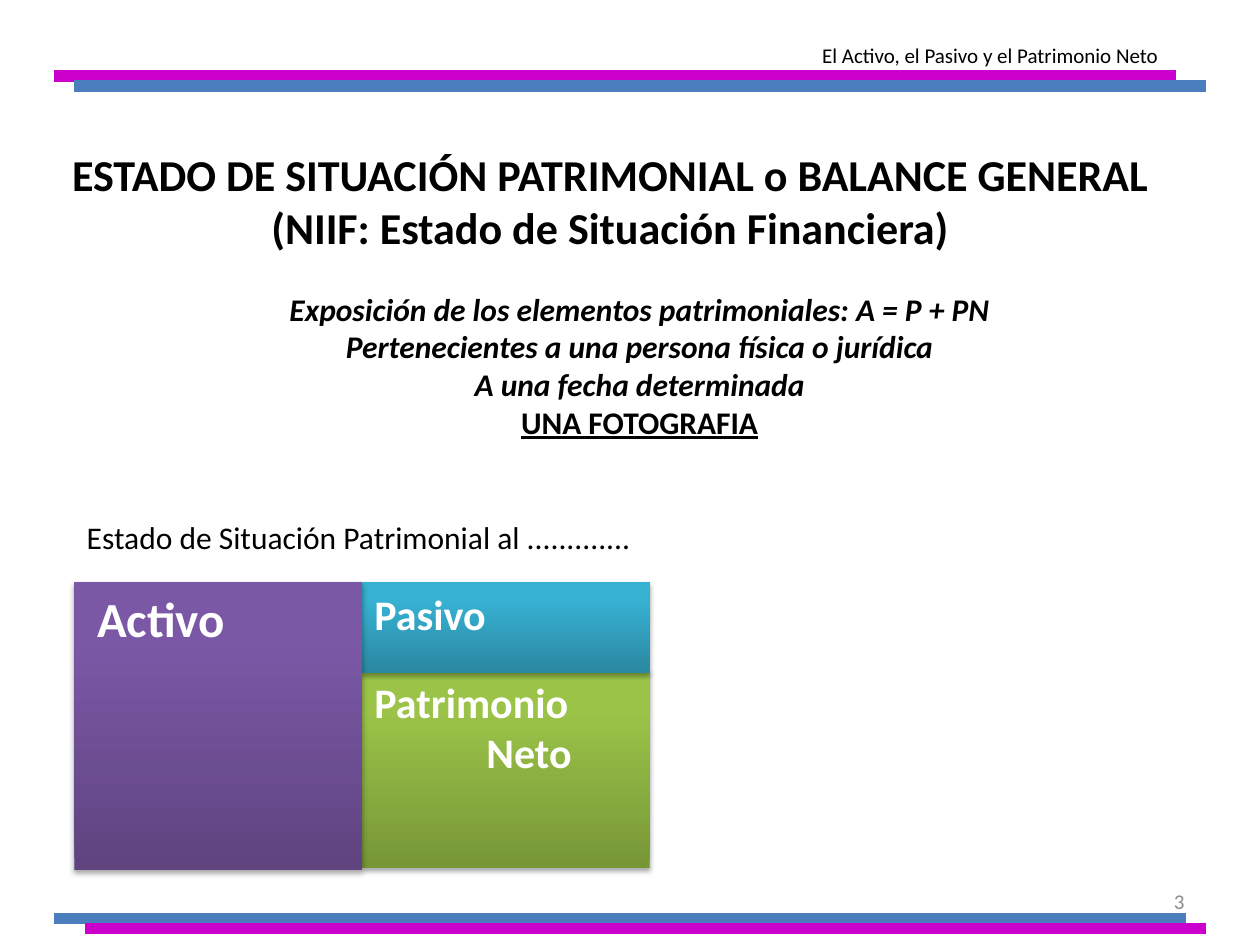
"""Build the balance sheet slide, with header, title, key points and block diagram."""
from lxml import etree
from pptx import Presentation
from pptx.dml.color import RGBColor
from pptx.enum.shapes import MSO_CONNECTOR, MSO_SHAPE
from pptx.enum.text import MSO_ANCHOR, PP_ALIGN
from pptx.oxml import parse_xml
from pptx.oxml.ns import nsdecls, qn
from pptx.util import Pt

LEFT, MID, RIGHT = PP_ALIGN.LEFT, PP_ALIGN.CENTER, PP_ALIGN.RIGHT
TOP, CENTRE = MSO_ANCHOR.TOP, MSO_ANCHOR.MIDDLE
LINE, RECT = MSO_CONNECTOR.STRAIGHT, MSO_SHAPE.RECTANGLE

HUES = {
    "pink": "CC00CC", "blue": "4B7EBC", "black": "000000",
    "white": "FFFFFF", "grey": "8C8C8C",
    "green": ("779737", "9BC348"),
    "teal": ("2A88A2", "37B1D2"),
    "purple": ("5F4480", "7B58A6"),
}
SHADOW = (
    f'<a:effectLst {nsdecls("a")}><a:outerShdw blurRad="39370" dist="22860" '
    'dir="5400000" rotWithShape="0"><a:srgbClr val="000000">'
    '<a:alpha val="35000"/></a:srgbClr></a:outerShdw></a:effectLst>'
)
HANG = 64

BARS = [
    (31, 672, 43.2, "pink"),
    (42.5, 689, 49, "blue"),
    (31, 677.5, 524.9, "blue"),
    (48.5, 689, 530.6, "pink"),
]
BOLD = {"bold": True}
SLANT = {"bold": True, "italic": True}
TEXTS = [
    ((516, 500.4, 168, 28.8), [("3", {})],
     {"size": 12, "hue": "grey", "align": RIGHT, "anchor": CENTRE}),
    ((20, 66, 657.5, 125),
     [("ESTADO DE SITUACIÓN PATRIMONIAL o BALANCE GENERAL\v"
       "(NIIF: Estado de Situación Financiera)", BOLD)],
     {"size": 25.2, "align": MID, "anchor": CENTRE, "foot": 31}),
    ((309, 21, 360, 21.6),
     [("El Activo, el Pasivo y el Patrimonio Neto", {})],
     {"size": 12, "align": RIGHT, "hang": 22.5}),
    ((76.5, 162, 578, 94.5),
     [("Exposición de los elementos patrimoniales: A = P + PN", SLANT),
      ("Pertenecientes a una persona física o jurídica", SLANT),
      ("A una fecha determinada", SLANT),
      ("UNA FOTOGRAFIA", {"bold": True, "underline": True})],
     {"size": 18, "align": MID, "hang": HANG}),
    ((42.5, 292.5, 363, 29),
     [("Estado de Situación Patrimonial al .............", {})],
     {"size": 18}),
]
SIDE, EDGE, HEAD = 164.4, 42.5, 332.6
BLOCKS = [
    ((EDGE + SIDE, 383, SIDE, 113), "green", "Patrimonio Neto", 24, 7.2),
    ((EDGE + SIDE, HEAD, SIDE, 51.8), "teal", "Pasivo", 24, 7.2),
    ((EDGE, HEAD, SIDE, SIDE), "purple", "Activo", 28, 13),
]


def rgb(name):
    return RGBColor.from_string(HUES[name])


def write(shape, rows, size, hue="black", align=LEFT, anchor=TOP,
          hang=0, inset=7.2, foot=3.6):
    frame = shape.text_frame
    form = {
        "word_wrap": True, "vertical_anchor": anchor,
        "margin_left": Pt(inset), "margin_right": Pt(7.2),
        "margin_top": Pt(3.6), "margin_bottom": Pt(foot),
    }
    for key, value in form.items():
        setattr(frame, key, value)
    for i, (text, style) in enumerate(rows):
        para = frame.add_paragraph() if i else frame.paragraphs[0]
        para.text, para.alignment = text, align
        if hang:
            props = para._p.get_or_add_pPr()
            props.set("marL", str(Pt(hang)))
            props.set("indent", str(-Pt(hang)))
        for run in para.runs:
            for key, value in {"name": "Calibri", "size": Pt(size), **style}.items():
                setattr(run.font, key, value)
            run.font.color.rgb = rgb(hue)


def draw_bar(slide, start, end, y, hue):
    bar = slide.shapes.add_connector(LINE, Pt(start), Pt(y), Pt(end), Pt(y))
    bar.line.width, bar.line.color.rgb = Pt(6.75), rgb(hue)
    etree.SubElement(bar._element.spPr, qn("a:effectLst"))


def draw_block(slide, place, hue, text, size, inset):
    block = slide.shapes.add_shape(RECT, *map(Pt, place))
    block.line.fill.background()
    block.fill.gradient()
    block.fill.gradient_angle = 90
    for stop, tone, spot in zip(block.fill.gradient_stops, HUES[hue], (0, 0.8)):
        stop.color.rgb, stop.position = RGBColor.from_string(tone), spot
    block._element.spPr.append(parse_xml(SHADOW))
    write(block, [(text, BOLD)], size, "white", hang=HANG, inset=inset)


def main():
    deck = Presentation()
    deck.slide_width, deck.slide_height = Pt(720), Pt(540)
    slide = deck.slides.add_slide(deck.slide_layouts[6])
    for bar in BARS:
        draw_bar(slide, *bar)
    for block in BLOCKS:
        draw_block(slide, *block)
    for place, rows, form in TEXTS:
        write(slide.shapes.add_textbox(*map(Pt, place)), rows, **form)
    deck.save("out.pptx")


if __name__ == "__main__":
    main()
